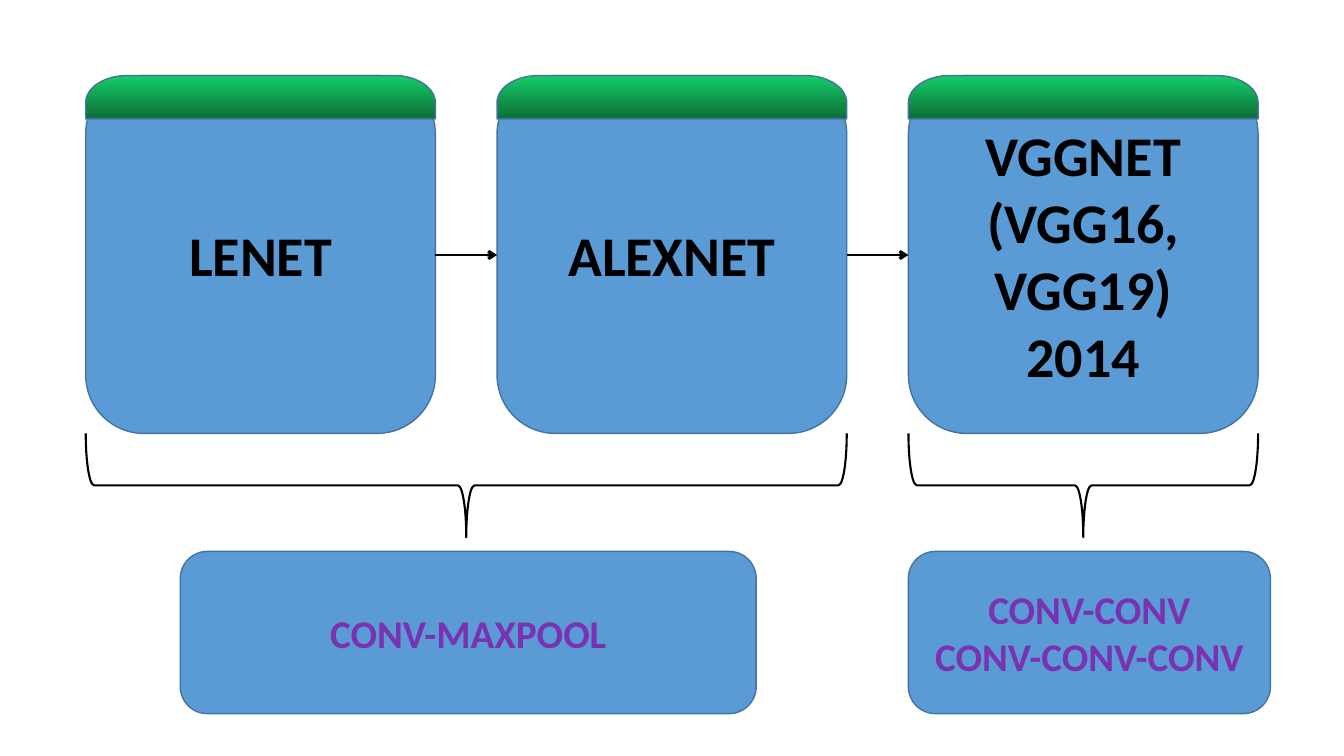
"""Build a slide on how convolutional networks grew from LeNet to VGGNet."""
import math

from pptx import Presentation
from pptx import util as u
from pptx.dml import color
from pptx.enum import shapes, text
from pptx.oxml import parse_xml
from pptx.oxml.ns import nsdecls

COLORS = {
    "block": "5B9BD5", "edge": "43739E", "ink": "000000",
    "cap": ("14CD68", "0B6E38"), "label": ("7B32B2", "401A5D"),
}
MARGIN, COLUMN, ROW = 0.85, 4.08, 0.25
BLOCK_WIDTH = 0.85
TOP, BLOCK_ROWS, CAP_ROWS = 3, 14.2, 1.72
ARROW_ROW, BRACE_ROW, BRACE_ROWS = 10.12, 17.2, 4.12
LABEL_ROW, LABEL_ROWS = 21.88, 6.44


class Diagram:
    """Draw styled elements on one page, placed by columns and rows."""

    def __init__(self, page, font="Calibri"):
        self.page = page
        self.font = font

    def x(self, column):
        return u.Inches(MARGIN + column * COLUMN)

    def y(self, row):
        return u.Inches(row * ROW)

    def paint(self, fill, name, angle=0):
        value = COLORS[name]
        if isinstance(value, str):
            fill.solid()
            fill.fore_color.rgb = color.RGBColor.from_string(value)
            return
        fill.gradient()
        fill.gradient_angle = angle
        for stop, shade in zip(fill.gradient_stops, value):
            stop.color.rgb = color.RGBColor.from_string(shade)

    def outline(self, item, name, width):
        self.paint(item.line.fill, name)
        item.line.width = u.Pt(width)

    def box(self, column, row, width, height, lines, size, ink):
        box = self.page.shapes.add_shape(
            shapes.MSO_SHAPE.ROUNDED_RECTANGLE, self.x(column), self.y(row),
            u.Inches(width * COLUMN), self.y(height))
        box.shadow.inherit = False
        self.paint(box.fill, "block")
        self.outline(box, "edge", 1)
        frame = box.text_frame
        frame.word_wrap = True
        frame.vertical_anchor = text.MSO_ANCHOR.MIDDLE
        for number, line in enumerate(lines):
            para = frame.add_paragraph() if number else frame.paragraphs[0]
            para.alignment = text.PP_ALIGN.CENTER
            span = para.add_run()
            span.text = line
            span.font.name = self.font
            span.font.size = u.Pt(size)
            span.font.bold = True
            self.paint(span.font.fill, ink)

    def cap(self, column):
        left, right = self.x(column), self.x(column + BLOCK_WIDTH)
        top, bottom = self.y(TOP), self.y(TOP + CAP_ROWS)
        across, down = u.Inches(0.41), u.Inches(0.27)
        angles = [math.radians(step) for step in range(0, 91, 5)]
        curve = [(across * (1 - math.cos(a)), down * (1 - math.sin(a))) for a in angles]
        points = [(left + dx, top + dy) for dx, dy in curve]
        points += [(right - dx, top + dy) for dx, dy in reversed(curve)]
        points.append((right, bottom))
        builder = self.page.shapes.build_freeform(left, bottom)
        builder.add_line_segments(points, close=True)
        cap = builder.convert_to_shape()
        cap.shadow.inherit = False
        self.paint(cap.fill, "cap", angle=270)
        self.outline(cap, "edge", 1)

    def arrow(self, start, end):
        arrow = self.page.shapes.add_connector(
            shapes.MSO_CONNECTOR.STRAIGHT, self.x(start), self.y(ARROW_ROW),
            self.x(end), self.y(ARROW_ROW))
        self.outline(arrow, "ink", 2)
        arrow.line._get_or_add_ln().append(
            parse_xml(f'<a:tailEnd {nsdecls("a")} type="arrow"/>'))
        arrow._element.spPr.append(parse_xml(f'<a:effectLst {nsdecls("a")}/>'))

    def brace(self, column, width):
        length, depth = u.Inches(width * COLUMN), self.y(BRACE_ROWS)
        shift = (length - depth) // 2
        brace = self.page.shapes.add_shape(
            shapes.MSO_SHAPE.RIGHT_BRACE, self.x(column) + shift,
            self.y(BRACE_ROW) - shift, depth, length)
        brace.rotation = 90
        brace.adjustments[0] = 0.08
        brace.adjustments[1] = 0.5
        brace.shadow.inherit = False
        brace.fill.background()
        self.outline(brace, "ink", 1.5)


def main():
    deck = Presentation()
    deck.slide_width, deck.slide_height = u.Inches(13.33), u.Inches(7.5)
    diagram = Diagram(deck.slides.add_slide(deck.slide_layouts[6]))
    networks = [["LENET"], ["ALEXNET"], ["VGGNET", "(VGG16, VGG19)", "2014"]]
    for column, lines in enumerate(networks):
        diagram.box(column, TOP, BLOCK_WIDTH, BLOCK_ROWS, lines, 40, "ink")
        diagram.cap(column)
        if column:
            diagram.arrow(column - 1 + BLOCK_WIDTH, column)
    groups = [
        (0, 1 + BLOCK_WIDTH, 0.23, 1.4, ["CONV-MAXPOOL"]),
        (2, BLOCK_WIDTH, 2, 0.88, ["CONV-CONV", "CONV-CONV-CONV"]),
    ]
    for start, span, column, width, lines in groups:
        diagram.brace(start, span)
        diagram.box(column, LABEL_ROW, width, LABEL_ROWS, lines, 28, "label")
    deck.save("out.pptx")


if __name__ == "__main__":
    main()
